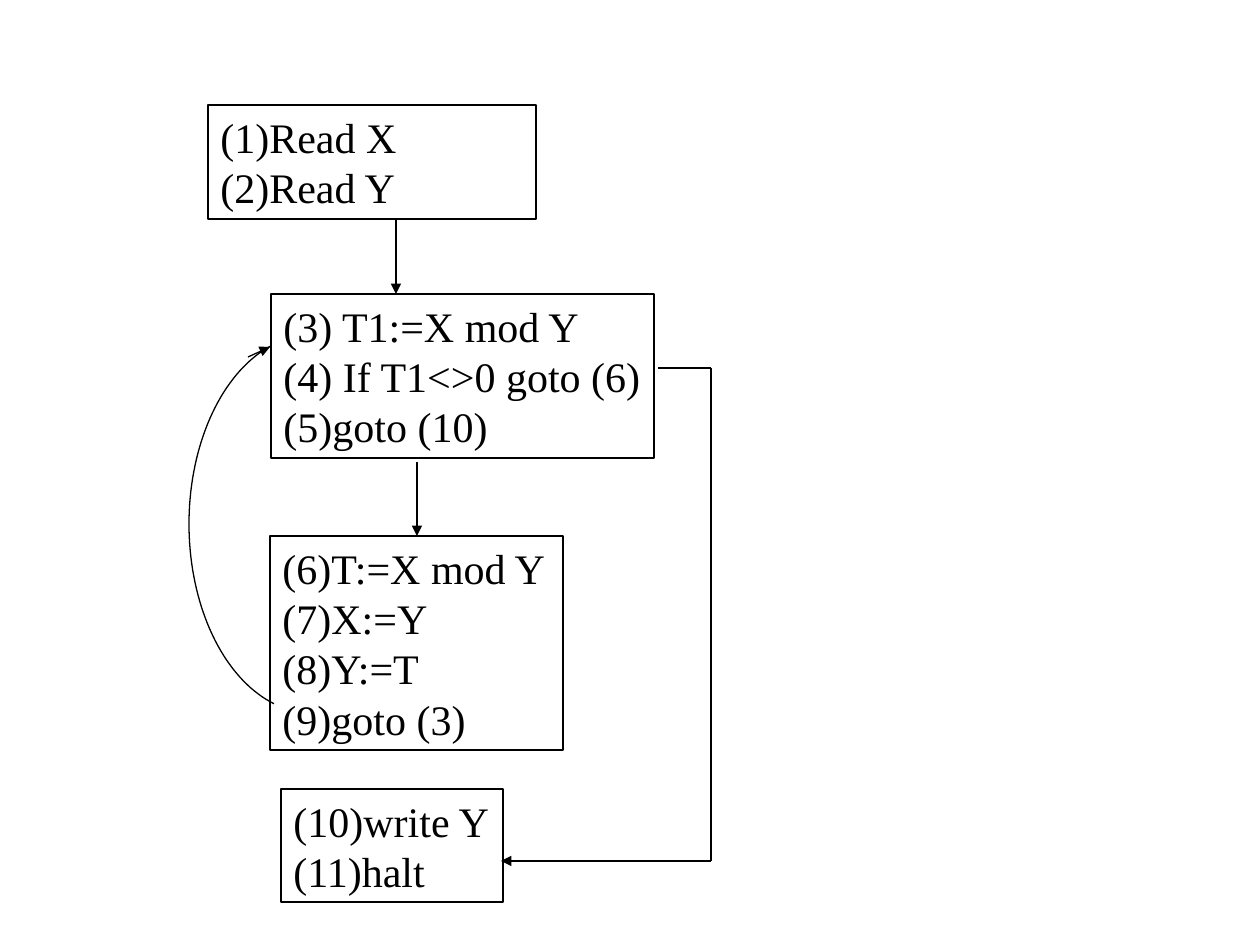
from math import cos, radians, sin

from pptx import Presentation
from pptx.dml.color import RGBColor
from pptx.enum.shapes import MSO_CONNECTOR, MSO_SHAPE
from pptx.enum.text import MSO_ANCHOR, PP_ALIGN
from pptx.oxml.ns import qn
from pptx.util import Pt
from lxml.etree import SubElement

SCALE = 914400 / 126
BLACK = "000000"


def px(length):
    return round(length * SCALE)


def color(value):
    return RGBColor.from_string(value)


def write_text(frame, lines, font="Times New Roman", size=24, fill=BLACK):
    """Put each line in its own left-aligned paragraph."""
    for index, line in enumerate(lines):
        paragraph = frame.add_paragraph() if index else frame.paragraphs[0]
        paragraph.alignment = PP_ALIGN.LEFT
        run = paragraph.add_run()
        run.text = line
        run.font.name = font
        run.font.size = Pt(size)
        run.font.color.rgb = color(fill)


class FlowChart:
    """Holds the slide and the line style of a block diagram."""

    def __init__(self, slide, line_color=BLACK, line_width=0.75):
        self.slide = slide
        self.line_color = line_color
        self.line_width = line_width

    def style_line(self, shape, width=None):
        shape.line.color.rgb = color(self.line_color)
        shape.line.width = Pt(width or self.line_width)

    def block(self, left, top, width, height, lines, line_width=1.25):
        shape = self.slide.shapes.add_shape(
            MSO_SHAPE.RECTANGLE, px(left), px(top), px(width), px(height))
        shape.shadow.inherit = False
        shape.fill.background()
        self.style_line(shape, line_width)
        frame = shape.text_frame
        frame.word_wrap = True
        frame.vertical_anchor = MSO_ANCHOR.TOP
        frame.margin_right = 0
        write_text(frame, lines)

    def connect(self, start, end, arrow=False):
        connector = self.slide.shapes.add_connector(
            MSO_CONNECTOR.STRAIGHT, *map(px, start + end))
        self.style_line(connector)
        if arrow:
            SubElement(connector.line._get_or_add_ln(), qn("a:tailEnd"), type="triangle")
        SubElement(connector._element.spPr, qn("a:effectLst"))

    def arc(self, center, radii, start_angle, end_angle, step=2):
        """Draw part of an ellipse; angles are in degrees, clockwise from the right."""
        points = [
            (px(center[0] + radii[0] * cos(radians(angle))),
             px(center[1] + radii[1] * sin(radians(angle))))
            for angle in range(start_angle, end_angle + 1, step)
        ]
        builder = self.slide.shapes.build_freeform(*points[0])
        builder.add_line_segments(points[1:], close=False)
        shape = builder.convert_to_shape()
        shape.shadow.inherit = False
        shape.fill.background()
        self.style_line(shape)


def main():
    presentation = Presentation()
    presentation.slide_width = px(1260)
    presentation.slide_height = px(945)
    chart = FlowChart(presentation.slides.add_slide(presentation.slide_layouts[6]))

    chart.block(208, 105, 328, 114, ["(1)Read X", "(2)Read Y"])
    chart.block(271, 294, 383, 164,
                ["(3) T1:=X mod Y", "(4) If T1<>0 goto (6)", "(5)goto (10)"])
    chart.block(270, 536, 293, 214,
                ["(6)T:=X mod Y", "(7)X:=Y", "(8)Y:=T", "(9)goto (3)"])
    chart.block(281, 789, 222, 113, ["(10)write Y", "(11)halt"], line_width=0.75)

    chart.connect((396, 220), (396, 294), arrow=True)
    chart.connect((417, 462), (417, 536), arrow=True)

    exit_route = [(658, 368), (711, 368), (711, 861), (501, 861)]
    for start, end in zip(exit_route, exit_route[1:]):
        chart.connect(start, end, arrow=end == exit_route[-1])

    chart.arc((312, 524), (123, 189), 108, 250)
    chart.connect((248, 357), (270, 347), arrow=True)

    presentation.save("out.pptx")


if __name__ == "__main__":
    main()
